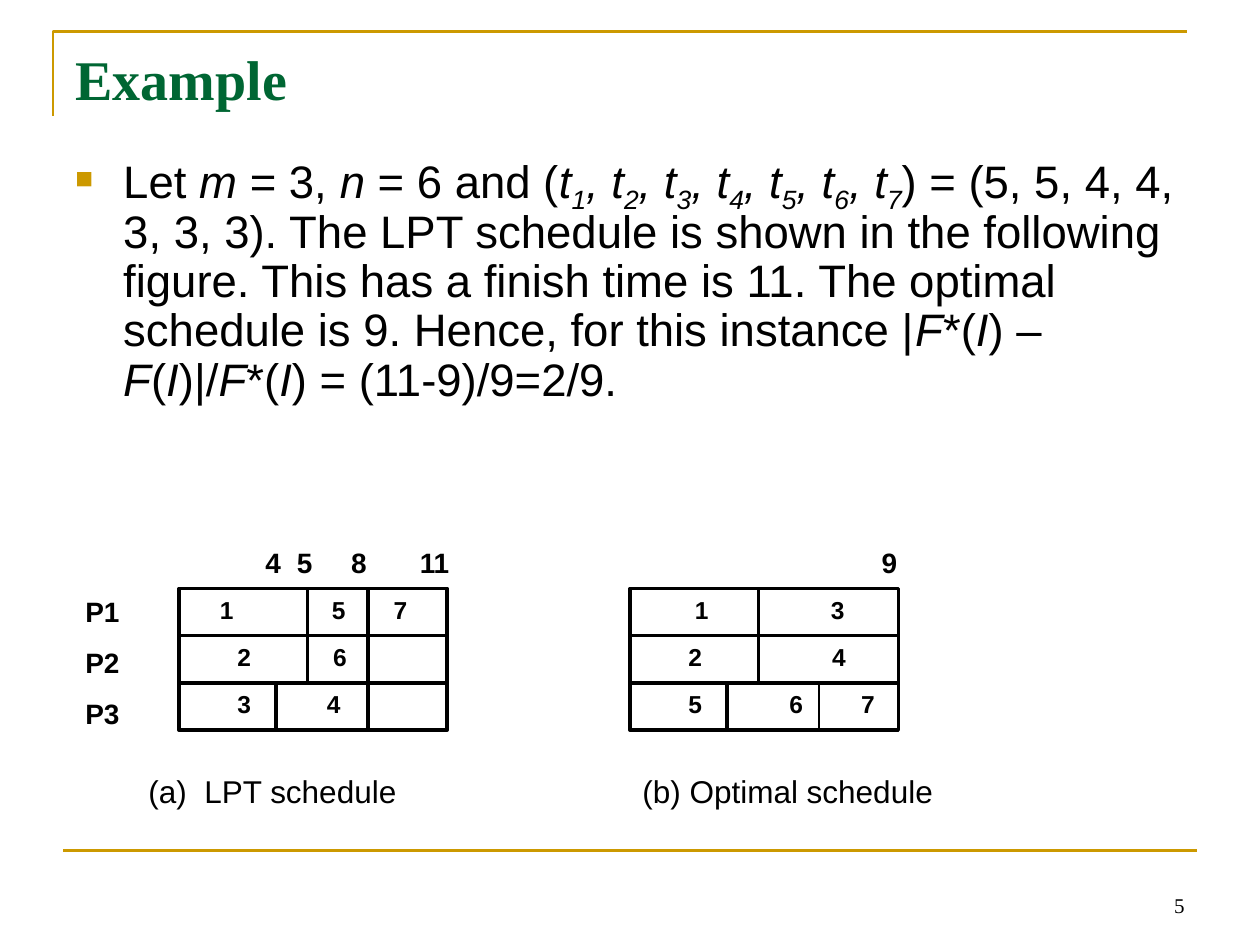
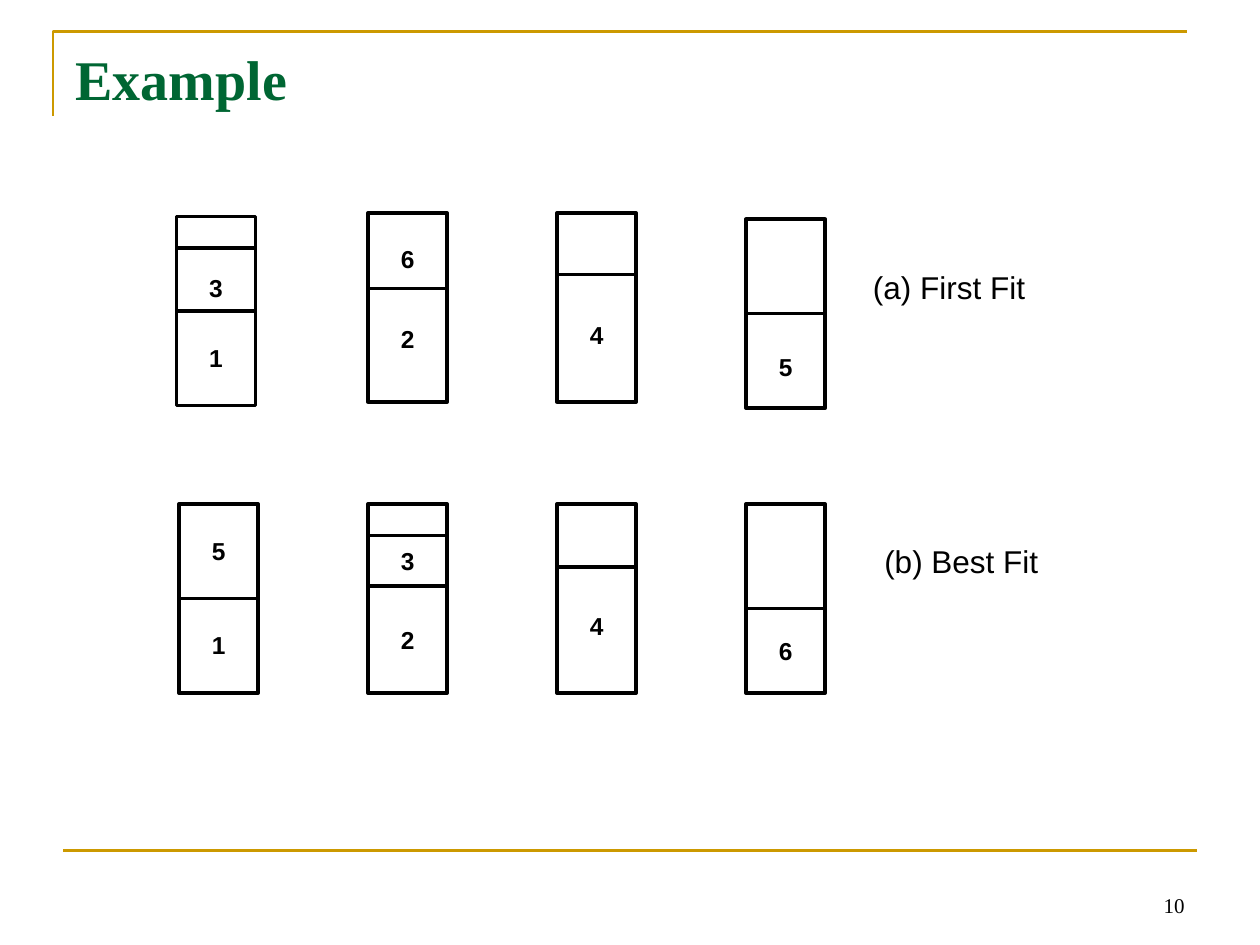
from lxml.etree import SubElement
from pptx import Presentation
from pptx.dml.color import RGBColor
from pptx.enum.shapes import MSO_CONNECTOR, MSO_SHAPE
from pptx.enum.text import MSO_ANCHOR, MSO_AUTO_SIZE, PP_ALIGN
from pptx.oxml.ns import qn
from pptx.util import Inches, Pt

COLORS = {"ink": "000000", "gold": "CC9900", "green": "006633", "paper": "FFFFFF"}
TITLE = {"name": "Times New Roman", "size": Pt(32), "bold": True}
BODY = {"name": "Arial", "size": Pt(26)}
LABEL = {"name": "Arial", "size": Pt(18)}
AXIS = {"name": "Arial", "size": Pt(16), "bold": True}
JOB = {"name": "Arial", "size": Pt(14), "bold": True}
PAGE = {"name": "Times New Roman", "size": Pt(12)}
ITALIC = {"italic": True}
SUB = {"italic": True, "sub": True}
INSET = 0.1
BLANK = 0.2
BIN_W, BIN_H = 0.63, 1.5
ROW_W, ROW_H = 2.13, 0.375
ROWS_TOP = 4.67


def color(key):
    return RGBColor.from_string(COLORS[key])


class Deck:
    def __init__(self):
        self.prs = Presentation()
        self.prs.slide_width = Inches(10)
        self.prs.slide_height = Inches(7.5)
        self.slide = None

    def start(self, title, page):
        self.slide = self.prs.slides.add_slide(self.prs.slide_layouts[5])
        build = self.slide.shapes.build_freeform(Inches(0.42), Inches(0.92))
        build.add_line_segments(
            [(Inches(0.42), Inches(0.25)), (Inches(9.42), Inches(0.25))], close=False)
        frame = build.convert_to_shape()
        frame.shadow.inherit = False
        frame.fill.background()
        self.stroke(frame.line, "gold", 1.5)
        self.line((0.5, 6.75), (9.5, 6.75), "gold", 1.5)
        head = self.slide.shapes.title
        head.left, head.top, head.width, head.height = map(Inches, (0.5, 0.3, 9, 0.61))
        self.setup(head.text_frame)
        para = head.text_frame.paragraphs[0]
        para.alignment = PP_ALIGN.LEFT
        self.run(para, title, TITLE, "green")
        self.text((7.17, 6.83, 2.33, 0.5), [page], PAGE,
                  align=PP_ALIGN.RIGHT, anchor=MSO_ANCHOR.BOTTOM)

    def stroke(self, line, key, width):
        line.color.rgb = color(key)
        line.width = Pt(width)

    def setup(self, frame, anchor=MSO_ANCHOR.TOP, top=0.05):
        values = {
            "word_wrap": True, "auto_size": MSO_AUTO_SIZE.NONE, "vertical_anchor": anchor,
            "margin_left": Inches(INSET), "margin_right": Inches(INSET),
            "margin_top": Inches(top), "margin_bottom": Inches(0.05)}
        for key, value in values.items():
            setattr(frame, key, value)

    def run(self, para, text, style, key="ink"):
        run = para.add_run()
        run.text = text
        for name, value in style.items():
            if name == "sub":
                run.font._element.set("baseline", "-25000")
            else:
                setattr(run.font, name, value)
        run.font.color.rgb = color(key)

    def text(self, box, lines, style, align=PP_ALIGN.LEFT, anchor=MSO_ANCHOR.TOP, gap=0):
        shape = self.slide.shapes.add_textbox(*map(Inches, box))
        self.setup(shape.text_frame, anchor)
        self.fill(shape.text_frame, lines, style, align, gap)
        return shape.text_frame

    def fill(self, frame, lines, style, align, gap):
        for index, line in enumerate(lines):
            para = frame.add_paragraph() if index else frame.paragraphs[0]
            para.alignment = align
            para.space_before = Pt(gap if index else 0)
            self.run(para, line, style)

    def bullet(self, box, parts):
        para = self.text(box, [], BODY).paragraphs[0]
        para.line_spacing = 0.9
        para.space_before = Pt(6.5)
        props = para._p.get_or_add_pPr()
        props.set("marL", str(Inches(0.38)))
        props.set("indent", str(-Inches(0.38)))
        tint = SubElement(props, qn("a:buClr"))
        SubElement(tint, qn("a:srgbClr"), val=COLORS["gold"])
        SubElement(props, qn("a:buSzPct"), val="65000")
        SubElement(props, qn("a:buFont"), typeface="Arial")
        SubElement(props, qn("a:buChar"), char="■")
        for text, style in parts:
            self.run(para, text, {**BODY, **style})

    def tabbed(self, para, left, marks, style, lead):
        props = para._p.get_or_add_pPr()
        stops = SubElement(props, qn("a:tabLst"))
        for mark, place in marks:
            SubElement(stops, qn("a:tab"), pos=str(Inches(place - left - INSET)), algn="ctr")
            self.run(para, "\t", {**style, "size": Pt(lead)})
            self.run(para, mark, style)

    def times(self, box, marks):
        para = self.text(box, [], AXIS).paragraphs[0]
        self.tabbed(para, box[0], marks, AXIS, 18)

    def rect(self, box, top=0.05):
        shape = self.slide.shapes.add_shape(MSO_SHAPE.RECTANGLE, *map(Inches, box))
        shape.shadow.inherit = False
        shape.fill.solid()
        shape.fill.fore_color.rgb = color("paper")
        self.stroke(shape.line, "ink", 2)
        self.setup(shape.text_frame, top=top)
        return shape

    def line(self, start, end, key="ink", width=2):
        wire = self.slide.shapes.add_connector(
            MSO_CONNECTOR.STRAIGHT, *map(Inches, (*start, *end)))
        SubElement(wire._element.spPr, qn("a:effectLst"))
        self.stroke(wire.line, key, width)
        return wire

    def chart(self, left, rows):
        for index, (jobs, cuts) in enumerate(rows):
            top = ROWS_TOP + index * ROW_H
            row = self.rect((left, top, ROW_W, ROW_H))
            para = row.text_frame.paragraphs[0]
            para.alignment = PP_ALIGN.LEFT
            self.tabbed(para, left, jobs, JOB, 12)
            for place, width in cuts:
                self.line((place, top), (place, top + ROW_H), width=width)

    def bin(self, left, top, height, jobs, blanks, cuts):
        shape = self.rect((left, top, BIN_W, height), 0.05 + blanks * BLANK)
        self.fill(shape.text_frame, jobs, JOB, PP_ALIGN.CENTER, 2 * BLANK * 72)
        for cut in cuts:
            wire = self.line((left, top + cut), (left + BIN_W, top + cut))
            if cut == height / 2:
                wire.begin_connect(shape, 1)
                wire.end_connect(shape, 3)


def plan(deck):
    deck.start("Example", "5")
    parts = [("Let ", {}), ("m", ITALIC), (" = 3, ", {}), ("n", ITALIC), (" = 6 and (", {})]
    for num in range(1, 8):
        parts += [("t" if num == 1 else ", t", ITALIC), (str(num), SUB)]
    parts += [
        (") = (5, 5, 4, 4, 3, 3, 3). The LPT schedule is shown in the following figure. "
         "This has a finish time is 11. The optimal schedule is 9. "
         "Hence, for this instance |", {}),
        ("F", ITALIC), ("*(", {}), ("I", ITALIC), (") – ", {}),
        ("F", ITALIC), ("(", {}), ("I", ITALIC), (")|/", {}),
        ("F", ITALIC), ("*(", {}), ("I", ITALIC), (") = (11-9)/9=2/9.", {})]
    deck.bullet((0.5, 1.17, 9, 2.17), parts)
    deck.chart(1.42, [
        ([("1", 1.8), ("5", 2.69), ("7", 3.18)], [(2.44, 2), (2.92, 2)]),
        ([("2", 1.94), ("6", 2.7)], [(2.44, 2), (2.92, 2)]),
        ([("3", 1.94), ("4", 2.65)], [(2.19, 2), (2.92, 2)])])
    deck.chart(5, [
        ([("1", 5.57), ("3", 6.65)], [(6.02, 2)]),
        ([("2", 5.52), ("4", 6.66)], [(6.02, 2)]),
        ([("5", 5.52), ("6", 6.32), ("7", 6.89)], [(5.77, 2), (6.5, 0.75)])])
    deck.text((0.58, ROWS_TOP, 0.67, 1.18), ["P1", "P2", "P3"], AXIS, gap=10)
    deck.times((0.83, 4.25, 2.92, 0.4), [("4", 2.17), ("5", 2.42), ("8", 2.85), ("11", 3.45)])
    deck.times((5.58, 4.25, 1.67, 0.4), [("9", 7.06)])
    deck.text((1.08, 6.08, 3.17, 0.4), ["(a)  LPT schedule"], LABEL)
    deck.text((5, 6.08, 2.67, 0.4), ["(b) Optimal schedule"], LABEL)


def pack(deck):
    deck.start("Example", "10")
    half = BIN_H / 2
    lefts = [2.92 + 1.5 * col for col in range(3)]
    deck.bin(1.4, 2.47, half, ["1"], 1, [])
    deck.bin(1.4, 1.72, half, ["3"], 2, [0.25])
    first = [(1.69, ["6", "2"], 1, [0.6]), (1.69, ["4"], 4, [0.49]), (1.74, ["5"], 5, [half])]
    for left, (top, jobs, blanks, cuts) in zip(lefts, first):
        deck.bin(left, top, BIN_H, jobs, blanks, cuts)
    deck.text((6.83, 2.08, 2.08, 0.4), ["(a) First Fit"], LABEL)
    deck.bin(1.42, 4.75, half, ["1"], 1, [])
    deck.bin(1.42, 4, half, ["5"], 1, [])
    best = [(["3", "2"], 1.4, [0.65, 0.25]), (["4"], 4, [0.5]), (["6"], 5, [0.83])]
    for left, (jobs, blanks, cuts) in zip(lefts, best):
        deck.bin(left, 4, BIN_H, jobs, blanks, cuts)
    deck.text((6.92, 4.25, 2, 0.4), ["(b) Best Fit"], LABEL)


def main():
    deck = Deck()
    plan(deck)
    pack(deck)
    deck.prs.save("out.pptx")


if __name__ == "__main__":
    main()
